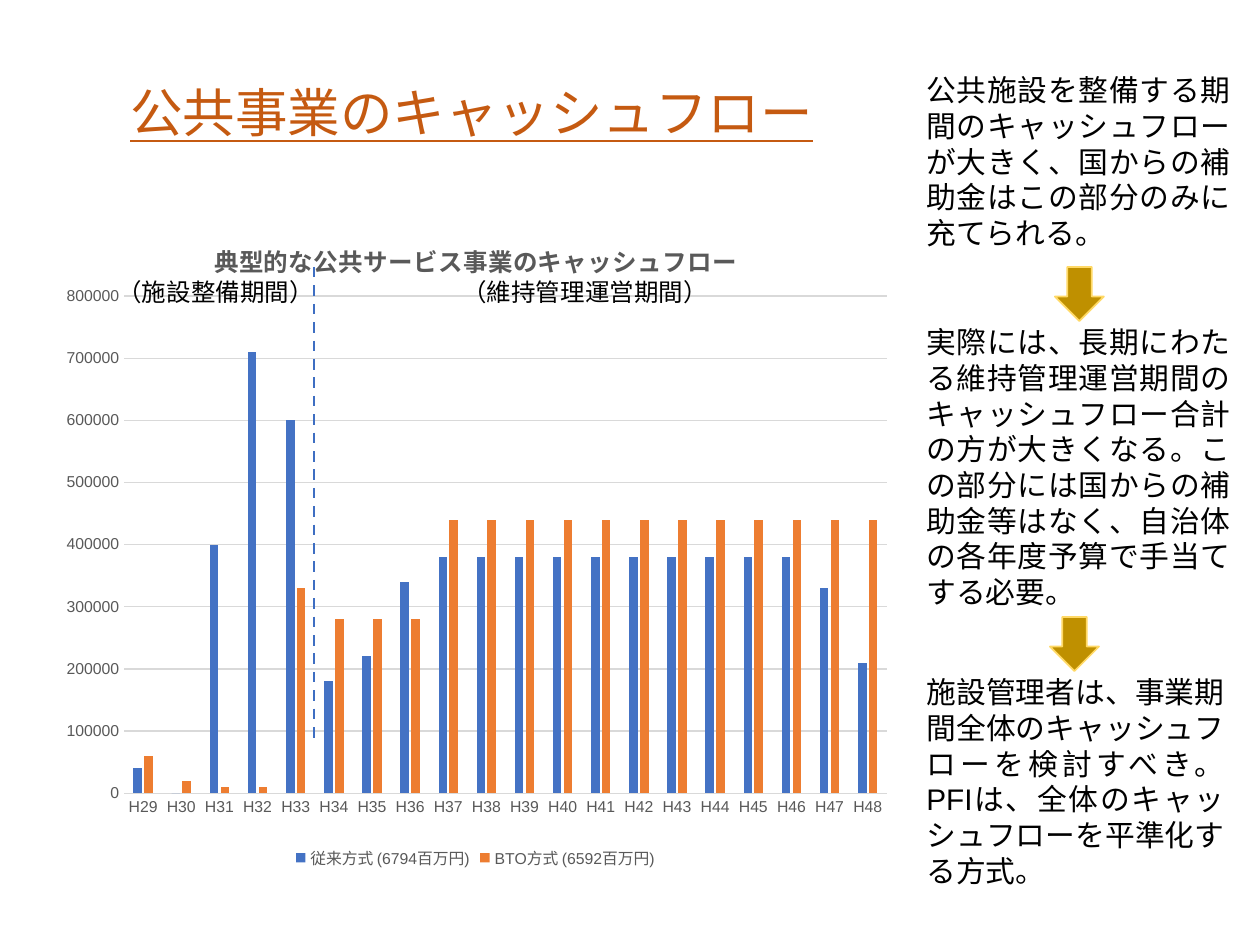
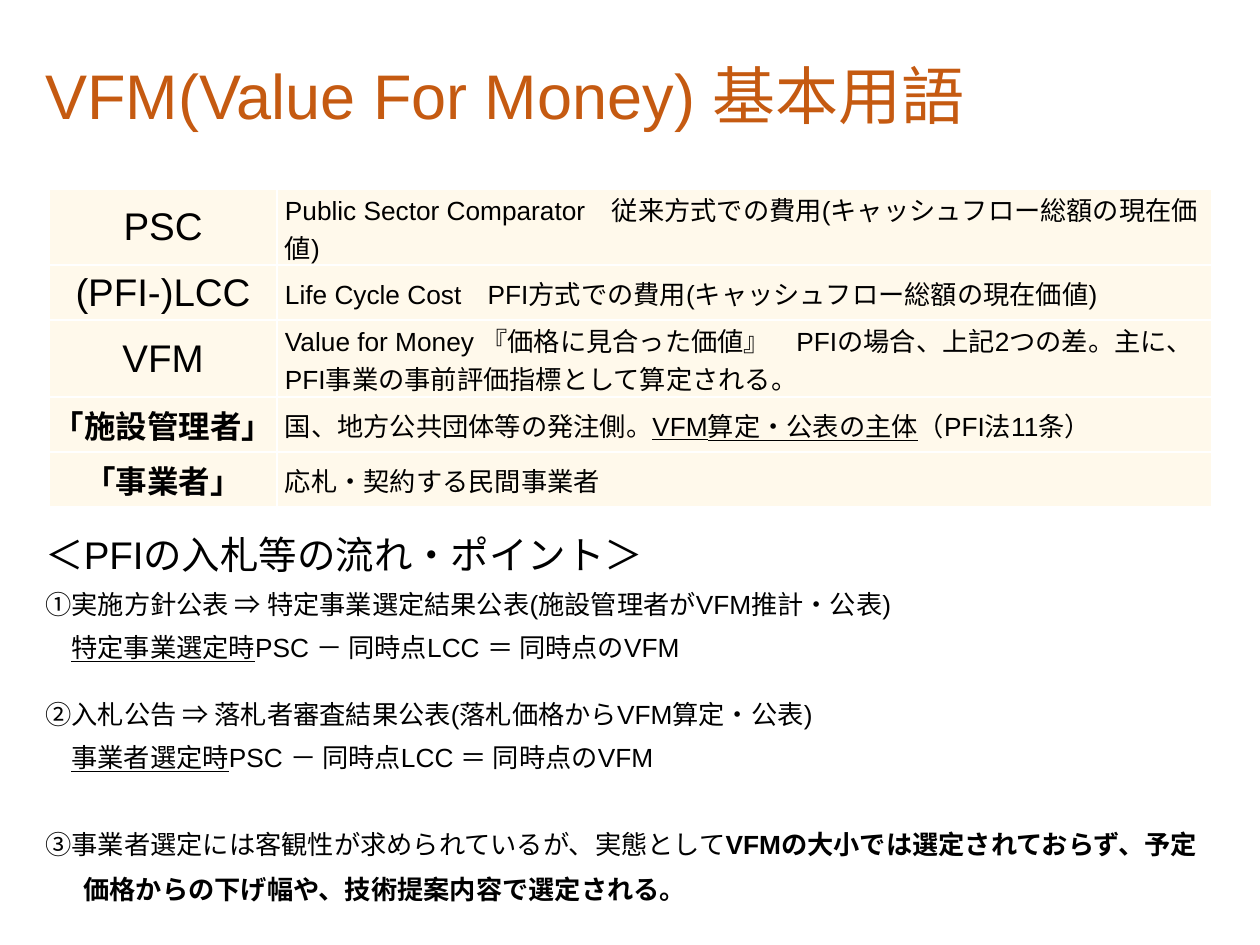
from lxml.etree import SubElement
from pptx import Presentation
from pptx.chart.data import CategoryChartData
from pptx.dml.color import RGBColor
from pptx.enum.chart import XL_CHART_TYPE, XL_LEGEND_POSITION, XL_TICK_MARK
from pptx.enum.dml import MSO_LINE
from pptx.enum.shapes import MSO_CONNECTOR, MSO_SHAPE
from pptx.enum.text import MSO_ANCHOR, PP_ALIGN
from pptx.oxml import parse_xml
from pptx.oxml.ns import nsdecls, qn
from pptx.util import Emu, Pt

SCALE = 914400 / 126
FONT = "Arial"
RUST, BLACK, GREY, RULE = "C55A11", "000000", "595959", "D9D9D9"
BLUE, ORANGE, DASH = "4472C4", "ED7D31", "3E6EC2"
GOLD, EDGE, CREAM, WHITE = "BF9000", "FFD966", "FFF2CC", "FFFFFF"

YEARS = [f"H{year}" for year in range(29, 49)]
FLOWS = [
    ("従来方式 (6794百万円)", BLUE,
     [40000, 0, 400000, 710000, 600000, 180000, 220000, 340000]
     + [380000] * 10 + [330000, 210000]),
    ("BTO方式 (6592百万円)", ORANGE,
     [60000, 20000, 10000, 10000, 330000, 280000, 280000, 280000]
     + [440000] * 12),
]
NOTES = [
    (66, 193, 329, "Calibri", "公共施設を整備する期間のキャッシュフローが大きく、国からの補助金はこの部分のみに充てられる。"),
    (318, 301, 329, "Calibri", "実際には、長期にわたる維持管理運営期間のキャッシュフロー合計の方が大きくなる。"
     "この部分には国からの補助金等はなく、自治体の各年度予算で手当てする必要。"),
    (668, 229, 323, FONT, "施設管理者は、事業期間全体のキャッシュフローを検討すべき。"
     "PFIは、全体のキャッシュフローを平準化する方式。"),
]
TERMS = [
    (76, 22, "PSC", "Public Sector Comparator　従来方式での費用(キャッシュフロー総額の現在価値)"),
    (55, 22, "(PFI-)LCC", "Life Cycle Cost　PFI方式での費用(キャッシュフロー総額の現在価値)"),
    (77, 22, "VFM", "Value for Money 『価格に見合った価値』　PFIの場合、上記2つの差。"
     "主に、PFI事業の事前評価指標として算定される。"),
    (55, 18, "|「施設管理者」", "国、地方公共団体等の発注側。|VFM算定・公表の主体|（PFI法11条）"),
    (55, 18, "|「事業者」", "応札・契約する民間事業者"),
]
STEPS = [
    (22, 26, 0, 0, 0, "underline", "＜PFIの入札等の流れ・ポイント＞"),
    (15, 18, 6, 0, 0, "underline", "①実施方針公表 ⇒ 特定事業選定結果公表(施設管理者がVFM推計・公表)"),
    (15, 18, 6.6, 26, 0, "underline", "|特定事業選定時|PSC － 同時点LCC ＝ 同時点のVFM"),
    (15, 18, 20.3, 0, 0, "underline", "②入札公告 ⇒ 落札者審査結果公表(落札価格からVFM算定・公表)"),
    (15, 18, 6.6, 26, 0, "underline", "|事業者選定時|PSC － 同時点LCC ＝ 同時点のVFM"),
    (15, 25.7, 24, 38, -38, "bold", "③事業者選定には客観性が求められているが、実態として|"
     "VFMの大小では選定されておらず、予定価格からの下げ幅や、技術提案内容で選定される。"),
]


def px(num):
    return Emu(round(num * SCALE))


def tint(code):
    return RGBColor.from_string(code)


def style(font, size, color=BLACK, name=FONT):
    font.size = Pt(size)
    font.name = name
    font.color.rgb = tint(color)


def write(para, text, size, color=BLACK, name=FONT, mark="underline"):
    for spot, part in enumerate(text.split("|")):
        if part:
            run = para.add_run()
            run.text = part
            style(run.font, size, color, name)
            if spot % 2:
                setattr(run.font, mark, True)


def frame(slide, x, y, w, h, wrap=True):
    body = slide.shapes.add_textbox(px(x), px(y), px(w), px(h)).text_frame
    body.word_wrap = wrap
    return body


def title(slide, box, text, size):
    body = frame(slide, *box)
    body.vertical_anchor = MSO_ANCHOR.MIDDLE
    para = body.paragraphs[0]
    para.line_spacing = 0.9
    write(para, text, size, RUST)


def note(slide, y, h, w, name, text):
    para = frame(slide, 914, y, w, h).paragraphs[0]
    para.alignment = PP_ALIGN.JUSTIFY
    para.line_spacing = Pt(20.4)
    write(para, text, 17, name=name)


def label(slide, x, y, w, h, text):
    write(frame(slide, x, y, w, h, False).paragraphs[0], text, 14)


def arrow(slide, x, y):
    shape = slide.shapes.add_shape(MSO_SHAPE.DOWN_ARROW, px(x), px(y), px(49), px(54))
    shape.shadow.inherit = False
    shape.fill.solid()
    shape.fill.fore_color.rgb = tint(GOLD)
    shape.line.color.rgb = tint(EDGE)
    shape.line.width = Pt(1)


def divide(slide, x, top, end):
    line = slide.shapes.add_connector(MSO_CONNECTOR.STRAIGHT, px(x), px(top), px(x), px(end))
    line.line.color.rgb = tint(DASH)
    line.line.width = Pt(1.5)
    line.line.dash_style = MSO_LINE.DASH
    SubElement(line._element.spPr, qn("a:effectLst"))


def place(part, inner=False, **spots):
    old = part.find(qn("c:layout"))
    if old is not None:
        part.remove(old)
    tags = '<c:layoutTarget val="inner"/>' if inner else ""
    tags += "".join(f'<c:{key}Mode val="edge"/>' for key in "xy")
    tags += "".join(f'<c:{key} val="{val}"/>' for key, val in spots.items())
    xml = f'<c:layout {nsdecls("c")}><c:manualLayout>{tags}</c:manualLayout></c:layout>'
    part.insert(0 if inner else 1, parse_xml(xml))


def rule(line):
    line.color.rgb = tint(RULE)
    line.width = Pt(0.75)


def graph(slide):
    data = CategoryChartData()
    data.categories = YEARS
    for name, _, vals in FLOWS:
        data.add_series(name, vals)
    chart = slide.shapes.add_chart(
        XL_CHART_TYPE.COLUMN_CLUSTERED, px(47), px(202), px(857), px(672), data).chart
    style(chart.font, 10)
    chart.has_title = True
    head = chart.chart_title
    head.include_in_layout = False
    head.text_frame.text = "典型的な公共サービス事業のキャッシュフロー"
    font = head.text_frame.paragraphs[0].runs[0].font
    style(font, 14, GREY)
    font.bold = True
    place(head._element, x=0.19, y=0.05)
    chart.has_legend = True
    chart.legend.position = XL_LEGEND_POSITION.BOTTOM
    chart.legend.include_in_layout = False
    style(chart.legend.font, 9, GREY)
    for axis in (chart.category_axis, chart.value_axis):
        style(axis.tick_labels.font, 9, GREY)
        axis.major_tick_mark = axis.minor_tick_mark = XL_TICK_MARK.NONE
    rule(chart.category_axis.format.line)
    axis = chart.value_axis
    axis.format.line.fill.background()
    axis.minimum_scale, axis.maximum_scale, axis.major_unit = 0, 800000, 100000
    rule(axis.major_gridlines.format.line)
    plot = chart.plots[0]
    plot.vary_by_categories = False
    plot.gap_width, plot.overlap = 219, -27
    for bars, (_, color, _) in zip(plot.series, FLOWS):
        bars.format.fill.solid()
        bars.format.fill.fore_color.rgb = tint(color)
    place(chart._chartSpace.chart.plotArea, True, x=0.09, y=0.14, w=0.89, h=0.74)


def paint(cell, left):
    cell.vertical_anchor = MSO_ANCHOR.MIDDLE
    cell.margin_left = px(left)
    cell.margin_right = cell.margin_top = px(1)
    cell.margin_bottom = 0
    cell.fill.solid()
    cell.fill.fore_color.rgb = tint(CREAM)
    props = cell._tc.get_or_add_tcPr()
    SubElement(props.find(".//" + qn("a:srgbClr")), qn("a:alpha"), val="39000")
    for spot, side in enumerate("LRTB"):
        props.insert(spot, parse_xml(
            f'<a:ln{side} {nsdecls("a")} w="12700"><a:solidFill>'
            f'<a:srgbClr val="{WHITE}"/></a:solidFill></a:ln{side}>'))


def grid(slide):
    high = sum(term[0] for term in TERMS)
    table = slide.shapes.add_table(len(TERMS), 2, px(49), px(189), px(1163), px(high)).table
    table.first_row = table.horz_banding = False
    for col, wide in zip(table.columns, (228, 935)):
        col.width = px(wide)
    for row, (tall, size, term, text) in zip(table.rows, TERMS):
        row.height = px(tall)
        key, val = row.cells
        paint(key, 1)
        paint(val, 8)
        para = key.text_frame.paragraphs[0]
        para.alignment = PP_ALIGN.CENTER
        write(para, term, size, mark="bold")
        write(val.text_frame.paragraphs[0], text, 15)


def steps(slide):
    body = frame(slide, 33, 526, 1194, 366)
    for spot, (size, line, gap, left, first, mark, text) in enumerate(STEPS):
        para = body.add_paragraph() if spot else body.paragraphs[0]
        para.line_spacing = Pt(line)
        para.space_before = Pt(gap)
        props = para._p.get_or_add_pPr()
        props.set("marL", str(px(left)))
        props.set("indent", str(px(first)))
        write(para, text, size, mark=mark)


def main():
    deck = Presentation()
    deck.slide_width, deck.slide_height = px(1260), px(945)
    blank = deck.slide_layouts[6]

    flow = deck.slides.add_slide(blank)
    title(flow, (118, 73, 727, 86), "|公共事業のキャッシュフロー", 30)
    graph(flow)
    for item in NOTES:
        note(flow, *item)
    arrow(flow, 1055, 267)
    arrow(flow, 1050, 617)
    divide(flow, 314, 267, 743)
    label(flow, 105, 271, 223, 43, "（施設整備期間）")
    label(flow, 450, 271, 273, 43, "（維持管理運営期間）")

    terms = deck.slides.add_slide(blank)
    title(terms, (33, 34, 1194, 131), "VFM(Value For Money) 基本用語", 36)
    steps(terms)
    grid(terms)
    deck.save("out.pptx")


if __name__ == "__main__":
    main()
